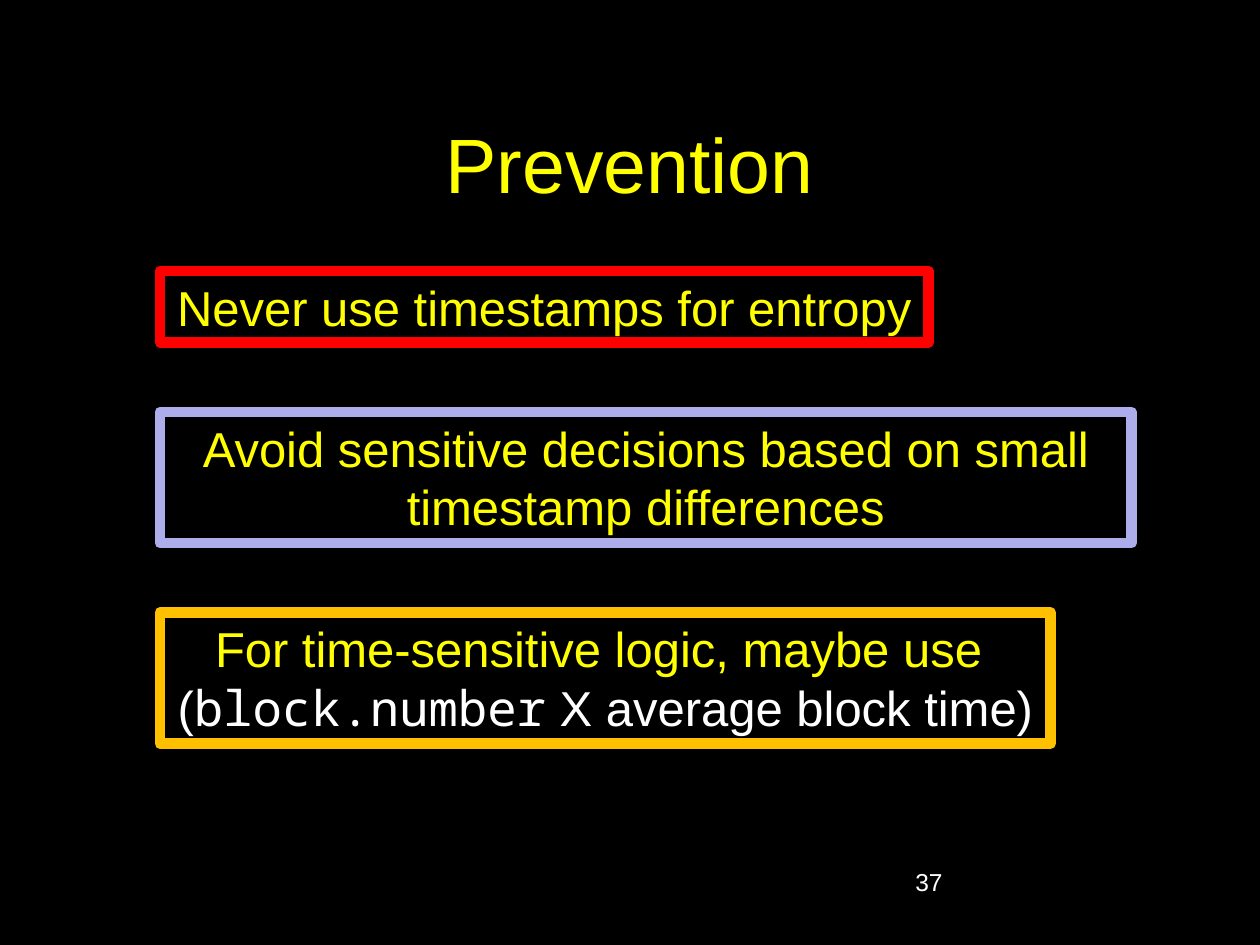
from dataclasses import dataclass

from pptx import Presentation
from pptx.dml.color import RGBColor
from pptx.enum.shapes import MSO_SHAPE
from pptx.enum.text import MSO_ANCHOR, MSO_AUTO_SIZE, PP_ALIGN
from pptx.util import Pt

RECTANGLE = MSO_SHAPE.RECTANGLE
TOP, MIDDLE = MSO_ANCHOR.TOP, MSO_ANCHOR.MIDDLE
FIT_SHAPE = MSO_AUTO_SIZE.SHAPE_TO_FIT_TEXT
LEFT, CENTER = PP_ALIGN.LEFT, PP_ALIGN.CENTER


@dataclass(frozen=True)
class Theme:
    """Colours, fonts and sizes of the slide."""
    background: RGBColor = RGBColor(0, 0, 0)
    accent: RGBColor = RGBColor(255, 255, 0)
    plain: RGBColor = RGBColor(255, 255, 255)
    never: RGBColor = RGBColor(255, 0, 0)
    avoid: RGBColor = RGBColor(0xAD, 0xAD, 0xEB)
    maybe: RGBColor = RGBColor(255, 0xC0, 0)
    font: str = "Arial"
    code_font: str = "Noto Sans Mono"
    title_size: int = 44
    advice_size: int = 28
    number_size: int = 14
    border: int = 6


THEME = Theme()
ADVICE = [
    (THEME.never, 439.2, 41, False,
     [[("Never use timestamps for entropy", THEME.accent, THEME.font)]]),
    (THEME.avoid, 555.1, 75, True,
     [[("Avoid sensitive decisions based on small timestamp differences",
        THEME.accent, THEME.font)]]),
    (THEME.maybe, 509, 75, False,
     [[("For time-sensitive logic, maybe use ", THEME.accent, THEME.font)],
      [("(", THEME.plain, THEME.font),
       ("block.number", THEME.plain, THEME.code_font),
       (" X average block time)", THEME.plain, THEME.font)]]),
]


def write_lines(frame, lines, size, alignment):
    """Fill a text frame with paragraphs of (text, colour, font) runs."""
    for index, line in enumerate(lines):
        paragraph = frame.add_paragraph() if index else frame.paragraphs[0]
        paragraph.alignment = alignment
        for text, color, font in line:
            run = paragraph.add_run()
            run.text = text
            run.font.size = Pt(size)
            run.font.name = font
            run.font.color.rgb = color


def add_label(slide, box, text, color, size, alignment, anchor):
    """Place a one-line text box in the given box."""
    frame = slide.shapes.add_textbox(*map(Pt, box)).text_frame
    frame.word_wrap = True
    frame.vertical_anchor = anchor
    write_lines(frame, [[(text, color, THEME.font)]], size, alignment)


def add_advice(slide, box, border, wrap, lines):
    """Place one bordered piece of advice in the given box."""
    shape = slide.shapes.add_shape(RECTANGLE, *map(Pt, box))
    shape.shadow.inherit = False
    shape.fill.solid()
    shape.fill.fore_color.rgb = THEME.background
    shape.line.color.rgb = border
    shape.line.width = Pt(THEME.border)
    frame = shape.text_frame
    frame.word_wrap = wrap
    frame.auto_size = FIT_SHAPE
    frame.vertical_anchor = TOP
    write_lines(frame, lines, THEME.advice_size, CENTER)


def add_advice_stack(slide, left, top, gap):
    """Stack the advice boxes downwards with equal gaps."""
    for border, width, height, wrap, lines in ADVICE:
        add_advice(slide, (left, top, width, height), border, wrap, lines)
        top += height + gap


def main():
    """Build and save the prevention slide."""
    presentation = Presentation()
    presentation.slide_width, presentation.slide_height = Pt(720), Pt(540)
    slide = presentation.slides.add_slide(presentation.slide_layouts[6])
    slide.background.fill.solid()
    slide.background.fill.fore_color.rgb = THEME.background
    add_label(slide, (54, 48, 612, 90), "Prevention", THEME.accent,
              THEME.title_size, CENTER, MIDDLE)
    add_advice_stack(slide, left=91.4, top=154.8, gap=39.6)
    add_label(slide, (516, 492, 150, 36), "37", THEME.plain,
              THEME.number_size, LEFT, TOP)
    presentation.save("out.pptx")


if __name__ == "__main__":
    main()
